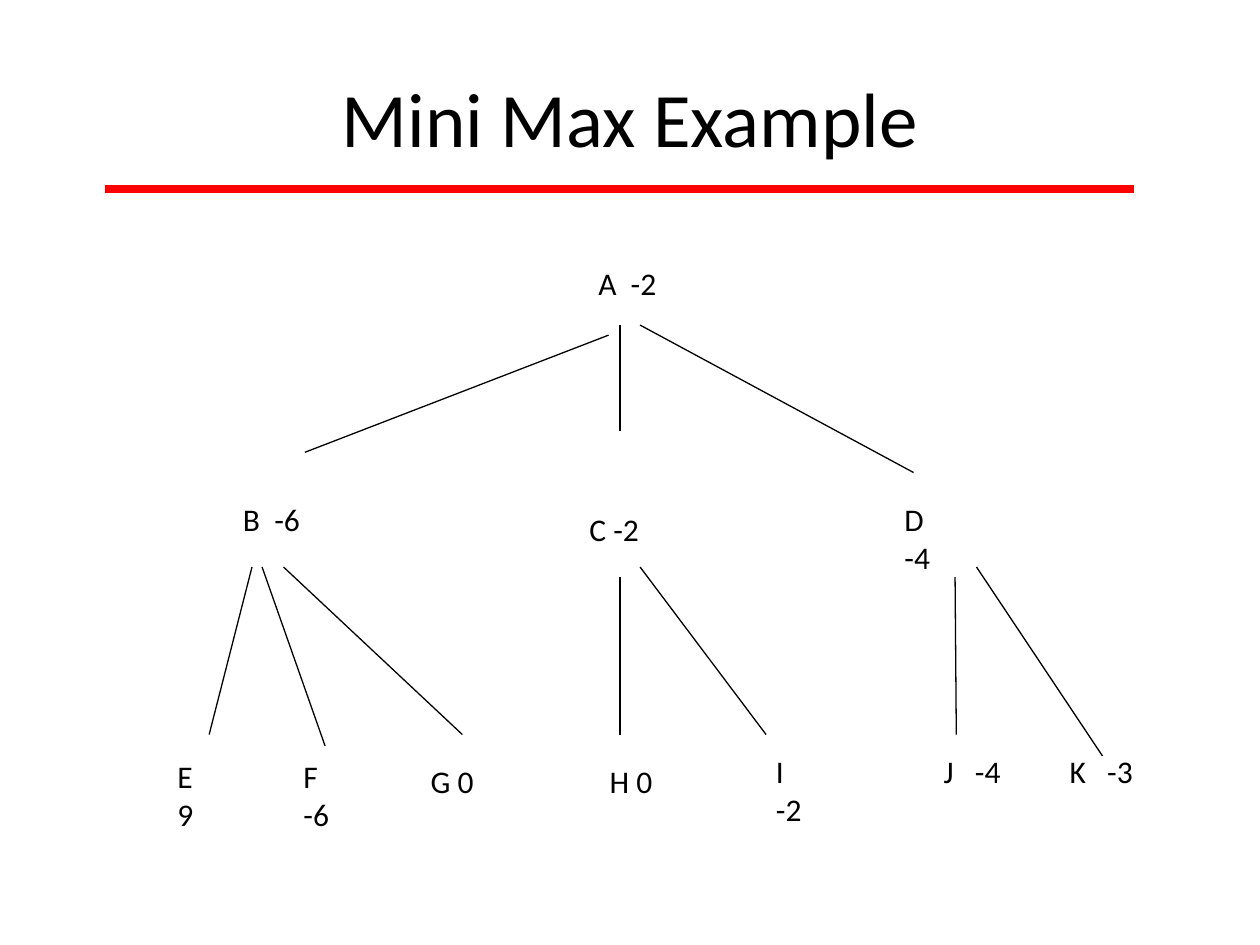
from dataclasses import dataclass

from lxml import etree
from pptx import Presentation
from pptx.dml.color import RGBColor
from pptx.enum.shapes import MSO_CONNECTOR
from pptx.enum.text import MSO_ANCHOR, MSO_AUTO_SIZE, PP_ALIGN
from pptx.oxml.ns import qn
from pptx.slide import Slide
from pptx.text.text import _Paragraph
from pptx.util import Inches, Pt

BLACK = RGBColor(0x00, 0x00, 0x00)
RED = RGBColor(0xFF, 0x00, 0x00)
FONT = "Calibri"
STRAIGHT = MSO_CONNECTOR.STRAIGHT
CENTER = PP_ALIGN.CENTER
MIDDLE = MSO_ANCHOR.MIDDLE
GROW = MSO_AUTO_SIZE.SHAPE_TO_FIT_TEXT
TITLE_ONLY = 5
NODE_HEIGHT = 0.4


@dataclass(frozen=True)
class Node:
    label: str
    left: float
    top: float
    width: float


@dataclass(frozen=True)
class Line:
    x1: float
    y1: float
    x2: float
    y2: float
    color: RGBColor = BLACK
    weight: float = 0.75


NODES = [
    Node("A  -2", 4.65, 2.05, 0.66),
    Node("B  -6", 1.83, 3.92, 0.65),
    Node("C -2", 4.58, 4, 0.59),
    Node("D -4", 7.08, 3.92, 0.61),
    Node("E 9", 1.31, 5.96, 0.5),
    Node("F -6", 2.31, 5.96, 0.57),
    Node("G 0", 3.32, 6, 0.54),
    Node("H 0", 4.74, 6, 0.59),
    Node("I   -2", 6.06, 5.92, 0.63),
    Node("J   -4", 7.39, 5.92, 0.65),
    Node("K   -3", 8.39, 5.92, 0.7),
]

BRANCHES = [
    Line(2.42, 3.59, 4.83, 2.66),
    Line(4.92, 3.42, 4.92, 2.58),
    Line(5.08, 2.58, 7.25, 3.75),
    Line(2, 4.5, 1.66, 5.83),
    Line(2.08, 4.5, 2.58, 5.92),
    Line(2.25, 4.5, 3.67, 5.83),
    Line(4.92, 4.58, 4.92, 5.83),
    Line(5.08, 4.5, 6.08, 5.83),
    Line(7.58, 4.58, 7.59, 5.83),
    Line(7.75, 4.5, 8.75, 6),
]

TITLE_RULE = Line(0.83, 1.5, 9, 1.5, RED, 4.5)


def style(paragraph: _Paragraph, size: float) -> None:
    paragraph.font.name = FONT
    paragraph.font.size = Pt(size)
    paragraph.font.color.rgb = BLACK


def add_title(slide: Slide, text: str) -> None:
    title = slide.shapes.title
    title.left, title.top = Inches(0.5), Inches(0.3)
    title.width, title.height = Inches(9), Inches(1.25)
    frame = title.text_frame
    frame.text = text
    frame.vertical_anchor = MIDDLE
    paragraph = frame.paragraphs[0]
    paragraph.alignment = CENTER
    style(paragraph, 44)


def add_node(slide: Slide, node: Node) -> None:
    box = slide.shapes.add_textbox(
        Inches(node.left), Inches(node.top), Inches(node.width), Inches(NODE_HEIGHT)
    )
    frame = box.text_frame
    frame.word_wrap = False
    frame.auto_size = GROW
    frame.text = node.label
    style(frame.paragraphs[0], 18)


def add_line(slide: Slide, line: Line) -> None:
    connector = slide.shapes.add_connector(
        STRAIGHT, Inches(line.x1), Inches(line.y1), Inches(line.x2), Inches(line.y2)
    )
    connector.line.color.rgb = line.color
    connector.line.width = Pt(line.weight)
    # An empty effect list removes the theme shadow.
    etree.SubElement(connector._element.spPr, qn("a:effectLst"))


def main() -> None:
    presentation = Presentation()
    presentation.slide_width = Inches(10)
    presentation.slide_height = Inches(7.5)
    slide = presentation.slides.add_slide(presentation.slide_layouts[TITLE_ONLY])
    add_title(slide, "Mini Max Example")
    for node in NODES:
        add_node(slide, node)
    for line in [*BRANCHES, TITLE_RULE]:
        add_line(slide, line)
    presentation.save("out.pptx")


if __name__ == "__main__":
    main()
